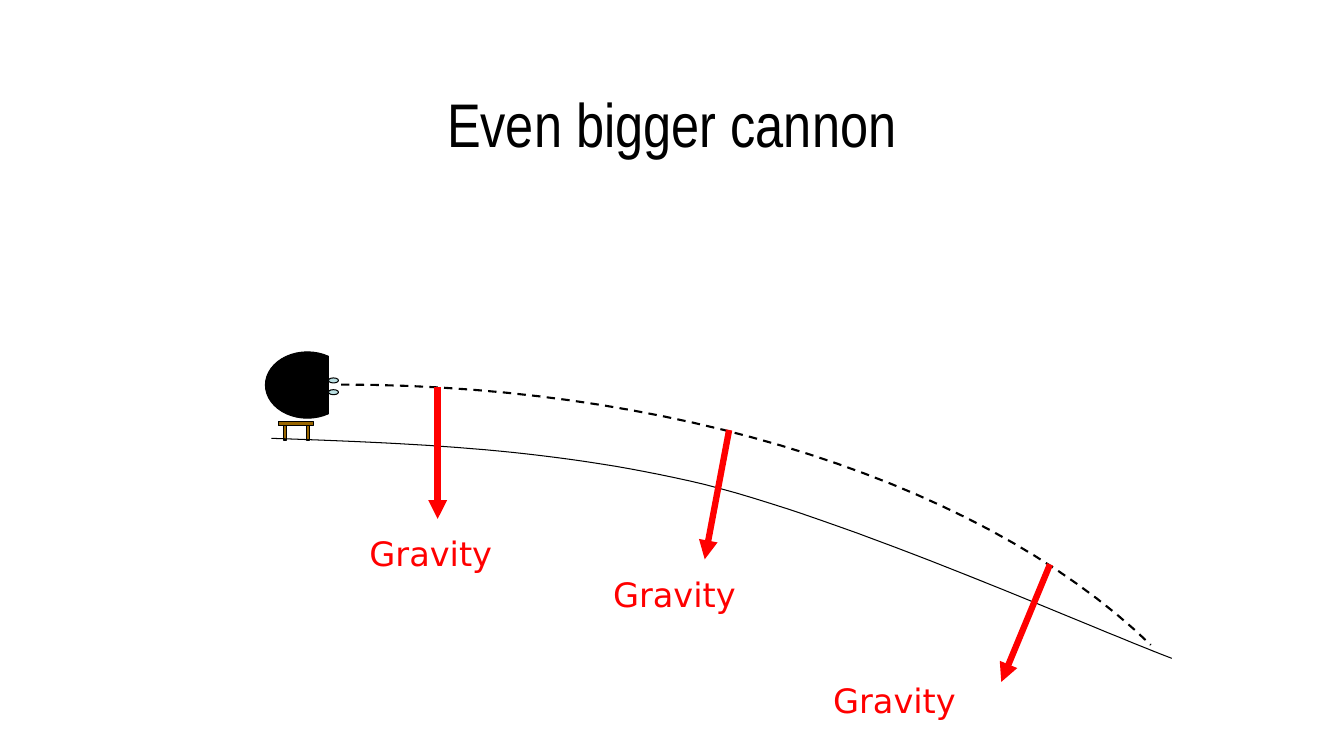
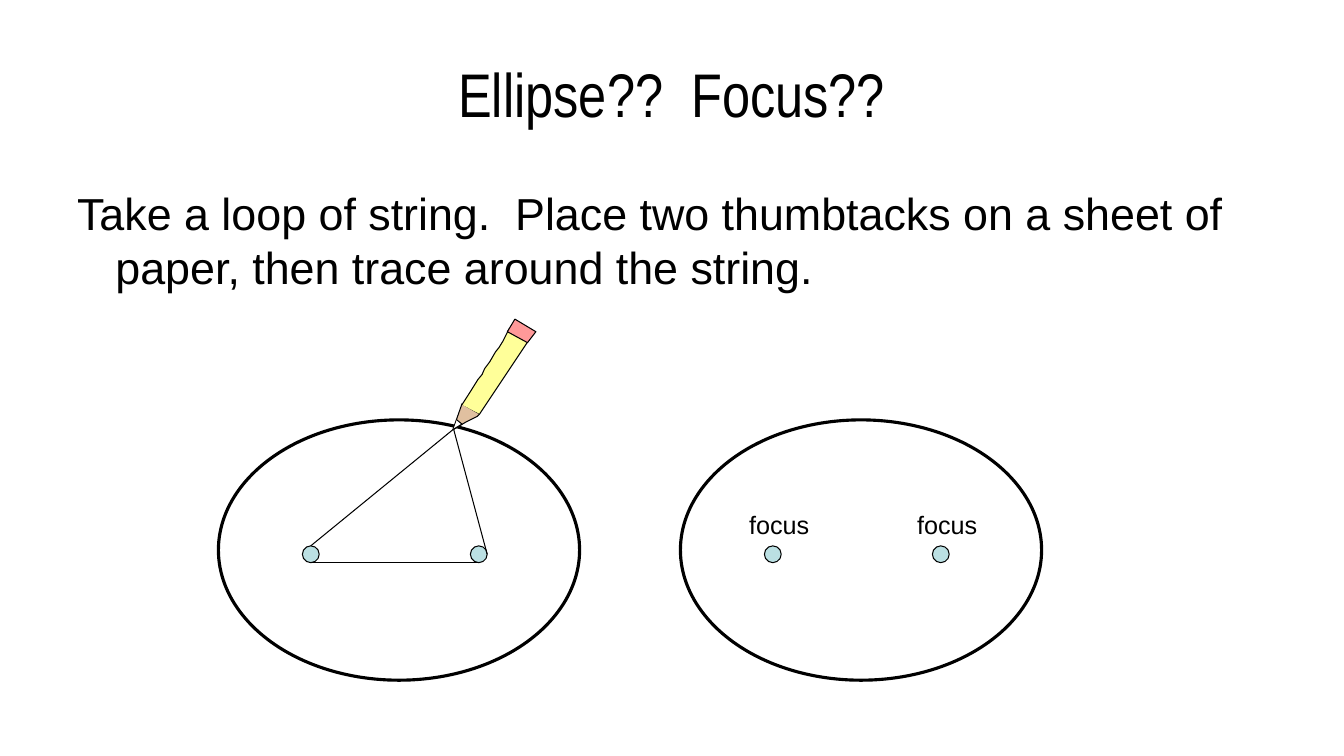
import pptx
import pptx.dml.color
import pptx.enum.dml
import pptx.enum.shapes
import pptx.enum.text
import pptx.util

tint = pptx.dml.color.RGBColor.from_string
kinds = pptx.enum.shapes.MSO_SHAPE
straight = pptx.enum.shapes.MSO_CONNECTOR.STRAIGHT
black, white, red, brown, blue = "000000", "FFFFFF", "FF0000", "996600", "BBE0E3"

deck = pptx.Presentation()
deck.slide_width = pptx.util.Inches(13.33)
deck.slide_height = pptx.util.Inches(7.5)
# The slide is a grid of 160 columns and 90 rows; all lengths count its cells.
cell = deck.slide_width / 160
fine = 100  # freeform steps per cell


def style(item, line=black, width=0.75, fill=None):
    """Set outline and fill, and take the shadow off a shape or connector."""
    if hasattr(item, "fill"):
        item.shadow.inherit = False
        if fill:
            item.fill.solid()
            item.fill.fore_color.rgb = tint(fill)
        else:
            item.fill.background()
    else:
        item._element.spPr.append(pptx.oxml.parse_xml(
            f'<a:effectLst {pptx.oxml.ns.nsdecls("a")}/>'))
    if line:
        item.line.color.rgb = tint(line)
        item.line.width = pptx.util.Pt(width)
    else:
        item.line.fill.background()


def write(box, area, text, size, face, color=black):
    """Move a text box or placeholder to its area and give it one run."""
    box.left, box.top, box.width, box.height = [round(v * cell) for v in area]
    box.text_frame.word_wrap = True
    para = box.text_frame.paragraphs[0]
    run = para.add_run()
    run.text = text
    run.font.size = pptx.util.Pt(size)
    run.font.name = face
    run.font.color.rgb = tint(color)
    return para


slides = []
for text, area in [
    ("Even bigger cannon", (26, 10.7, 108, 7.9)),
    ("Ellipse??  Focus??", (8, 3.6, 144, 15)),
]:
    slide = deck.slides.add_slide(deck.slide_layouts[5])
    title = slide.shapes.title
    para = write(title, area, text, 44, "Arial Narrow")
    para.alignment = pptx.enum.text.PP_ALIGN.CENTER
    title.text_frame.vertical_anchor = pptx.enum.text.MSO_ANCHOR.MIDDLE
    slides.append(slide)
flight, loop = slides

# Cannon on its bench
for kind, area, fill, line in [
    (kinds.OVAL, (31.6, 41.9, 10, 7.9), black, black),
    (kinds.RECTANGLE, (39.2, 40.6, 3.1, 9), white, None),
    (kinds.RECTANGLE, (33.1, 50.2, 4.2, 0.5), brown, black),
    (kinds.RECTANGLE, (33.7, 50.7, 0.4, 1.7), brown, black),
    (kinds.RECTANGLE, (36.5, 50.7, 0.4, 1.7), brown, black),
    (kinds.OVAL, (39.1, 46.4, 1.2, 0.6), blue, black),
    (kinds.OVAL, (39.1, 45, 1.2, 0.6), blue, black),
]:
    part = flight.shapes.add_shape(kind, *[round(v * cell) for v in area])
    style(part, line, fill=fill)

# Ground and flight: chains of cubic curves, each sharing its end with the next
ground = [(32.3, 52.2), (49.2, 52.8), (66, 53.4), (83.9, 57.7),
          (101.8, 62.2), (130.2, 74.9), (139.5, 78.4)]
shot = [(40.6, 45.8), (80.5, 45.8), (117.2, 57.6), (137, 76.8)]
steps = 30
for knots, width, dash in [
    (ground, 0.75, None),
    (shot, 1.5, pptx.enum.dml.MSO_LINE.DASH),
]:
    dots = [knots[0]]
    for k in range(0, len(knots) - 1, 3):
        for n in range(1, steps + 1):
            t = n / steps
            mix = ((1 - t) ** 3, 3 * t * (1 - t) ** 2, 3 * t * t * (1 - t), t ** 3)
            dots.append([sum(m * p[a] for m, p in zip(mix, knots[k:k + 4]))
                         for a in (0, 1)])
    dots = [(x * fine, y * fine) for x, y in dots]
    pen = flight.shapes.build_freeform(*dots[0], scale=cell / fine)
    pen.add_line_segments(dots[1:], close=False)
    curve = pen.convert_to_shape()
    style(curve, width=width)
    curve.line.dash_style = dash

# Pull of gravity along the flight
for ends, spot in [
    ((52.1, 46.1, 52.1, 61.8), (42.8, 62.9)),
    ((86.8, 51.2, 83.9, 66.6), (71.8, 67.7)),
    ((125, 67.2, 119.2, 81.2), (98, 80.4)),
]:
    arrow = flight.shapes.add_connector(straight, *[round(v * cell) for v in ends])
    style(arrow, red, 4.5)
    arrow.line._get_or_add_ln().append(pptx.oxml.parse_xml(
        f'<a:tailEnd {pptx.oxml.ns.nsdecls("a")} type="triangle"/>'))
    label = flight.shapes.add_textbox(0, 0, 0, 0)
    write(label, (*spot, 20.2, 6), "Gravity", 24, "DejaVu Sans", red)

# How to draw an ellipse
body = loop.shapes.add_textbox(0, 0, 0, 0)
para = write(body, (8, 21.5, 144, 59), "Take a loop of string.  Place two thumbtacks "
             "on a sheet of paper, then trace around the string.", 32, "Arial")
hang = pptx.util.Inches(0.38)
para._p.get_or_add_pPr().set("marL", str(hang))
para._p.get_or_add_pPr().set("indent", str(-hang))

groups = []
for left in (26, 81):
    group = loop.shapes.add_group_shape().shapes
    for area, width, fill in [
        ((left, 50, 43, 31), 2.25, None),
        ((left + 10, 65, 2, 2), 0.75, blue),
        ((left + 30, 65, 2, 2), 0.75, blue),
    ]:
        oval = group.add_shape(kinds.OVAL, *[round(v * cell) for v in area])
        style(oval, width=width, fill=fill)
    groups.append(group)
trace, named = groups

for left in (88, 108):
    label = named.add_textbox(0, 0, 0, 0)
    write(label, (left, 60, 16, 4.8), "focus", 18, "Arial")

# String and pencil
for ends in [(37, 67, 57, 67), (37, 65, 54, 51.1), (58, 66, 54, 51.1)]:
    string = trace.add_connector(straight, *[round(v * cell) for v in ends])
    style(string)

wood = [(53.9, 51.2), (55.4, 50.3), (56.8, 49.6), (57.1, 49.3), (55, 48.1)]
shaft = [(55, 48.2), (55.9, 46.8), (56.9, 45.2), (57.4, 44.6), (57.7, 43.9),
         (58.3, 43.1), (59, 41.9), (59.4, 41.4), (59.9, 40.6), (60.6, 39.2),
         (60.7, 39.1), (61.1, 39.4), (63.1, 40.3), (57.1, 49.3)]
lead = [(54.4, 50), (55, 50.5), (54, 51.1)]
rubber = [(60.4, 39.5), (62.8, 40.8), (63.8, 39.5), (61.3, 38)]
for dots, fill, close in [
    (wood, "E0C0A0", True),
    (shaft, "FFFF99", False),
    (lead, white, False),
    (rubber, "FF9999", True),
]:
    dots = [(x * fine, y * fine) for x, y in dots]
    pen = trace.build_freeform(*dots[0], scale=cell / fine)
    pen.add_line_segments(dots[1:], close=close)
    style(pen.convert_to_shape(), fill=fill)

deck.save("out.pptx")
